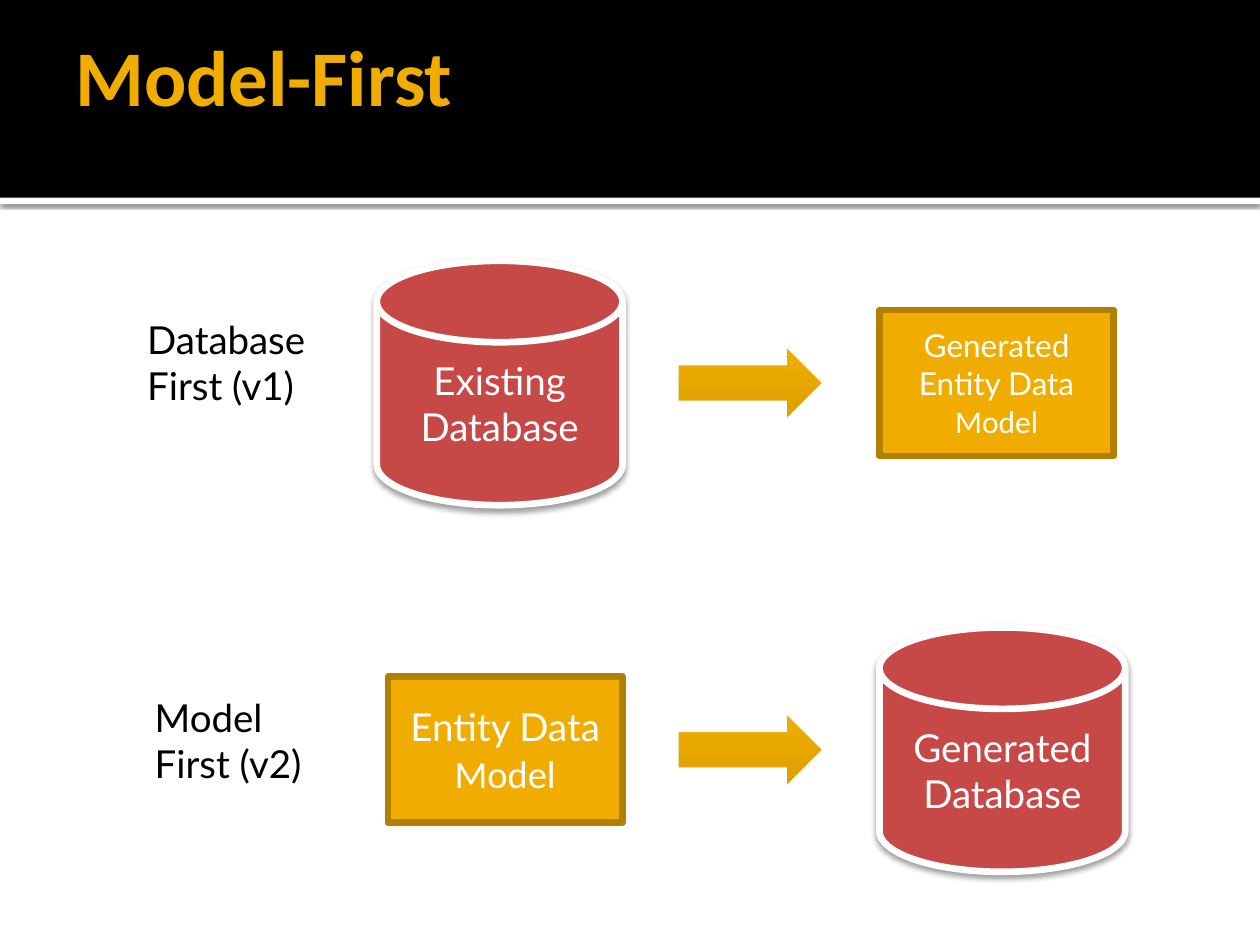
from lxml.etree import SubElement
from pptx import Presentation
from pptx.dml.color import RGBColor
from pptx.enum.shapes import MSO_SHAPE as Preset
from pptx.enum.text import MSO_ANCHOR as Anchor, MSO_AUTO_SIZE as AutoSize, PP_ALIGN as Align
from pptx.oxml.ns import qn
from pptx.util import Inches, Pt

BLACK = RGBColor(0x00, 0x00, 0x00)
WHITE = RGBColor(0xFF, 0xFF, 0xFF)
GOLD = RGBColor(0xF0, 0xAD, 0x00)
DARK_GOLD = RGBColor(0xDD, 0x9F, 0x00)
BROWN = RGBColor(0xB2, 0x80, 0x00)
RED = RGBColor(0xC6, 0x48, 0x47)

BODY, HEADING = "Lato", "Calibri"
TITLE = "Model-First"
LABELS = [
    (["Database", "First (v1)"], (1.07, 2.46, 1.56, 0.98)),
    (["Model", "First (v2)"], (1.13, 5.46, 1.44, 0.84)),
]
DATABASES = [
    (["Existing", "Database"], 2.99, 0),
    (["Generated", "Database"], 6.98, 1),
]
MODELS = [
    (["Generated", "Entity Data", "Model"], 6.98, 0, 18),
    (["Entity Data", "Model"], 3.08, 1, 22),
]
ROW_CENTERS = [3.04, 5.95]
DATABASE_SIZE = (1.95, 1.94)
MODEL_SIZE = (1.86, 1.16)
ARROW_LEFT, ARROW_SIZE = 5.38, (1.15, 0.58)


def row_box(left, size, row):
    width, height = size
    return left, ROW_CENTERS[row] - height / 2, width, height


def add_shape(slide, preset, box, fill, line=None, line_width=0):
    shape = slide.shapes.add_shape(preset, *map(Inches, box))
    shape.shadow.inherit = False
    shape.fill.solid()
    shape.fill.fore_color.rgb = fill
    if line is None:
        shape.line.fill.background()
    else:
        shape.line.color.rgb = line
        shape.line.width = Pt(line_width)
    return shape


def add_shadow(shape, opacity, blur, distance):
    effects = shape._element.spPr.find(qn("a:effectLst"))
    shadow = SubElement(effects, qn("a:outerShdw"), blurRad=str(Pt(blur)),
                        dist=str(Pt(distance)), dir="5400000", rotWithShape="0")
    color = SubElement(shadow, qn("a:srgbClr"), val=str(BLACK))
    SubElement(color, qn("a:alpha"), val=str(opacity * 1000))


def write_lines(shape, lines, size, color, align, anchor):
    frame = shape.text_frame
    frame.word_wrap = False
    frame.vertical_anchor = anchor
    frame.text = "\n".join(lines)
    for paragraph in frame.paragraphs:
        paragraph.alignment = align
        paragraph.font.name = HEADING if paragraph.text == "Model" and align == Align.CENTER else BODY
        paragraph.font.size = Pt(size)
        paragraph.font.color.rgb = color


def add_header(slide):
    stripe = add_shape(slide, Preset.RECTANGLE, (0, 1.57, 10, 0.05), WHITE)
    add_shadow(stripe, 60, 2.5, 0.8)
    add_shape(slide, Preset.RECTANGLE, (0, 0, 10, 1.57), BLACK)
    title = slide.shapes.add_textbox(*map(Inches, (0.5, 0.17, 9, 1.37)))
    frame = title.text_frame
    frame.word_wrap = True
    frame.margin_right = Inches(0.05)
    frame.text = TITLE
    font = frame.paragraphs[0].font
    font.name, font.size, font.bold = HEADING, Pt(45), True
    font.color.rgb = GOLD


def add_arrow(slide, row):
    arrow = add_shape(slide, Preset.RIGHT_ARROW, row_box(ARROW_LEFT, ARROW_SIZE, row),
                      GOLD, WHITE, 0.75)
    arrow.fill.gradient()
    arrow.fill.gradient_angle = 270
    for stop, color in zip(arrow.fill.gradient_stops, (GOLD, DARK_GOLD)):
        stop.color.rgb = color


def main():
    presentation = Presentation()
    presentation.slide_width, presentation.slide_height = Inches(10), Inches(7.5)
    slide = presentation.slides.add_slide(presentation.slide_layouts[6])
    add_header(slide)
    for lines, left, row in DATABASES:
        database = add_shape(slide, Preset.FLOWCHART_MAGNETIC_DISK,
                             row_box(left, DATABASE_SIZE, row), RED, WHITE, 3.82)
        add_shadow(database, 38, 3.5, 2)
        write_lines(database, lines, 22, WHITE, Align.CENTER, Anchor.MIDDLE)
    for row in range(len(ROW_CENTERS)):
        add_arrow(slide, row)
    for lines, left, row, size in MODELS:
        model = add_shape(slide, Preset.RECTANGLE, row_box(left, MODEL_SIZE, row),
                          GOLD, BROWN, 3.78)
        write_lines(model, lines, size, WHITE, Align.CENTER, Anchor.MIDDLE)
    for lines, box in LABELS:
        label = slide.shapes.add_textbox(*map(Inches, box))
        write_lines(label, lines, 22, BLACK, Align.LEFT, Anchor.TOP)
        label.text_frame.auto_size = AutoSize.SHAPE_TO_FIT_TEXT
    presentation.save("out.pptx")


if __name__ == "__main__":
    main()
